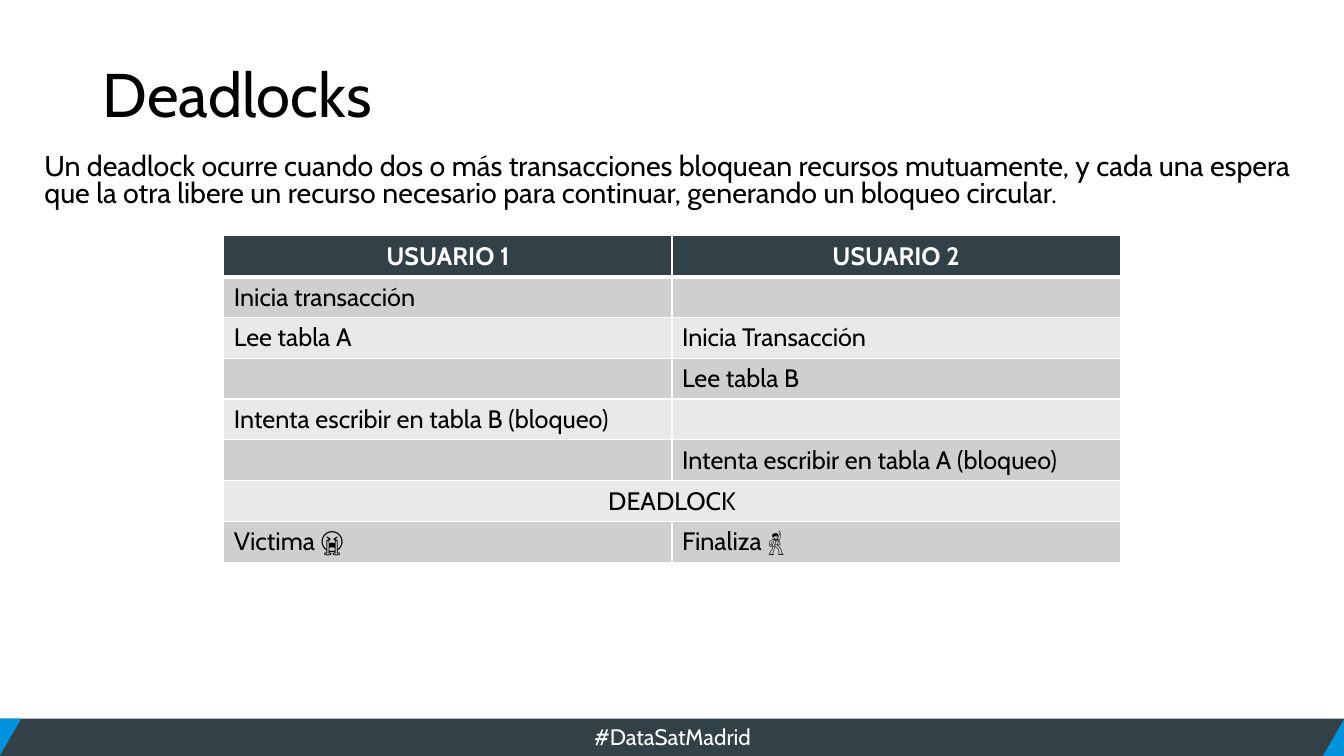
from dataclasses import dataclass

from lxml import etree
from pptx import Presentation
from pptx import util as u
from pptx.dml.color import RGBColor
from pptx.enum import shapes, text
from pptx.oxml import ns

PX = 9144
FONT = "Cabin"
COLORS = {
    "slate": "324147",
    "blue": "0093DD",
    "white": "FFFFFF",
    "black": "000000",
    "dark_band": "CECFCF",
    "light_band": "E8E9E9",
}
LEFT, CENTER = text.PP_ALIGN.LEFT, text.PP_ALIGN.CENTER
MIDDLE, TOP = text.MSO_ANCHOR.MIDDLE, text.MSO_ANCHOR.TOP


@dataclass(frozen=True)
class Box:
    left: int
    top: int
    width: int
    height: int

    def emu(self) -> list[u.Emu]:
        return [u.Emu(v * PX) for v in (self.left, self.top, self.width, self.height)]


@dataclass(frozen=True)
class FooterPart:
    preset: shapes.MSO_SHAPE
    box: Box
    color: str
    rotation: int = 0


@dataclass(frozen=True)
class Step:
    user1: str = ""
    user2: str = ""
    merged: bool = False


RECT, TRIANGLE = shapes.MSO_SHAPE.RECTANGLE, shapes.MSO_SHAPE.ISOSCELES_TRIANGLE
FOOTER = [
    FooterPart(RECT, Box(0, 713, 1333, 37), "slate"),
    FooterPart(TRIANGLE, Box(1312, 713, 43, 37), "blue"),
    FooterPart(TRIANGLE, Box(-22, 713, 43, 37), "blue", 180),
]
STEPS = [
    Step("USUARIO 1", "USUARIO 2"),
    Step("Inicia transacción"),
    Step("Lee tabla A", "Inicia Transacción"),
    Step(user2="Lee tabla B"),
    Step("Intenta escribir en tabla B (bloqueo)"),
    Step(user2="Intenta escribir en tabla A (bloqueo)"),
    Step("DEADLOCK", merged=True),
    Step("Victima 😭", "Finaliza 🕺"),
]
DEFINITION = (
    "Un deadlock ocurre cuando dos o más transacciones bloquean recursos mutuamente, "
    "y cada una espera que la otra libere un recurso necesario para continuar, "
    "generando un bloqueo circular."
)


def rgb(name: str) -> RGBColor:
    return RGBColor.from_string(COLORS[name])


def write(tf, content: str, *, size: float, color: str = "black", bold: bool = False,
          align=LEFT, spacing: float = 1.0) -> None:
    p = tf.paragraphs[0]
    p.alignment = align
    p.line_spacing = spacing
    p.space_before = u.Pt(0)
    r = p.add_run()
    r.text = content
    r.font.name = FONT
    r.font.size = u.Pt(size)
    r.font.bold = bold
    r.font.color.rgb = rgb(color)


def place(sp, box: Box, anchor) -> None:
    sp.left, sp.top, sp.width, sp.height = box.emu()
    tf = sp.text_frame
    tf.word_wrap = True
    tf.auto_size = text.MSO_AUTO_SIZE.NONE
    tf.vertical_anchor = anchor


def remove_bullet(p) -> None:
    pPr = p._p.get_or_add_pPr()
    pPr.set("marL", "0")
    pPr.set("indent", "0")
    etree.SubElement(pPr, ns.qn("a:buNone"))


def draw_footer_part(slide, part: FooterPart) -> None:
    sp = slide.shapes.add_shape(part.preset, *part.box.emu())
    sp.shadow.inherit = False
    sp.fill.solid()
    sp.fill.fore_color.rgb = rgb(part.color)
    sp.line.fill.background()
    sp.rotation = part.rotation


def set_borders(cell, top: int, bottom: int) -> None:
    tcPr = cell._tc.get_or_add_tcPr()
    for tag, points in (("lnL", 1), ("lnR", 1), ("lnT", top), ("lnB", bottom)):
        ln = etree.SubElement(tcPr, ns.qn(f"a:{tag}"), w=str(u.Pt(points)))
        fill = etree.SubElement(ln, ns.qn("a:solidFill"))
        etree.SubElement(fill, ns.qn("a:srgbClr"), val=COLORS["white"])


def draw_table(slide, steps: list[Step], box: Box) -> None:
    table = slide.shapes.add_table(len(steps), 2, *box.emu()).table
    for i, step in enumerate(steps):
        header = i == 0
        band = "slate" if header else ("dark_band" if i % 2 else "light_band")
        for j, content in enumerate((step.user1, step.user2)):
            cell = table.cell(i, j)
            set_borders(cell, 3 if i == 1 else 1, 3 if header else 1)
            cell.fill.solid()
            cell.fill.fore_color.rgb = rgb(band)
            if content:
                write(cell.text_frame, content, size=18, bold=header,
                      color="white" if header else "black",
                      align=CENTER if header or step.merged else LEFT)
        if step.merged:
            table.cell(i, 0).merge(table.cell(i, 1))


def main() -> None:
    prs = Presentation()
    prs.slide_width, prs.slide_height = u.Inches(13.33), u.Inches(7.5)
    slide = prs.slides.add_slide(prs.slide_layouts[1])

    for part in FOOTER:
        draw_footer_part(slide, part)
    hashtag = slide.shapes.add_textbox(*Box(451, 713, 432, 37).emu())
    hashtag.text_frame.word_wrap = True
    write(hashtag.text_frame, "#DataSatMadrid", size=16, color="white", align=CENTER)

    title, body = slide.shapes.title, slide.placeholders[1]
    place(title, Box(92, 40, 1150, 113), MIDDLE)
    write(title.text_frame, "Deadlocks", size=44, spacing=0.9)

    place(body, Box(34, 148, 1265, 86), TOP)
    remove_bullet(body.text_frame.paragraphs[0])
    write(body.text_frame, DEFINITION, size=20.4, spacing=0.8)

    draw_table(slide, STEPS, Box(222, 234, 889, 324))
    prs.save("out.pptx")


if __name__ == "__main__":
    main()
